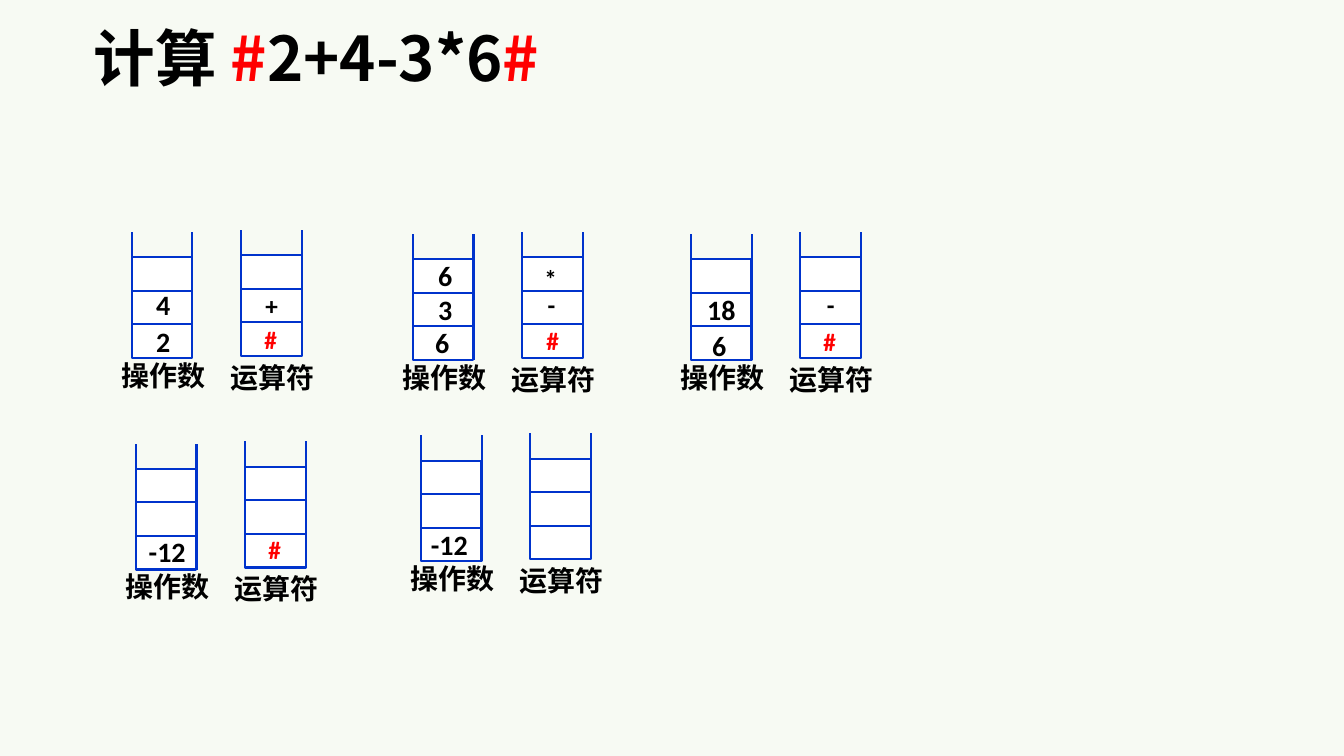
from dataclasses import dataclass

from lxml.etree import SubElement
from pptx import Presentation
from pptx.dml.color import RGBColor
from pptx.enum.shapes import MSO_CONNECTOR as Connector, MSO_SHAPE as Shape
from pptx.enum.text import MSO_ANCHOR as Anchor, MSO_AUTO_SIZE as AutoSize, PP_ALIGN as Align
from pptx.oxml.ns import qn
from pptx.util import Inches, Pt

# Content: title runs as (text, is marker)
TITLE = [("计算 ", False), ("#", True), ("2+4-3*6", False), ("#", True)]
STACK_NAMES = ("操作数", "运算符")

# Each step: left and top of the operand stack, then operands and operators,
# bottom cell first, as (value, shift right, shift down) from the cell centre
STEPS = [
    (1.31, 2.30, [("2", 0.01, 0), ("4", 0.01, -0.03)],
     [("#", -0.01, 0), ("+", 0, 0)]),
    (4.10, 2.32, [("6", -0.01, -0.01), ("3", 0.02, 0), ("6", 0.02, -0.01)],
     [("#", 0, -0.01), ("-", -0.01, -0.03), ("*", -0.02, 0.05)]),
    (6.86, 2.32, [("6", -0.02, 0.02), ("18", 0, 0)],
     [("#", -0.01, 0), ("-", 0, -0.03)]),
    (1.35, 4.40, [("-12", 0.01, -0.01)], [("#", -0.01, -0.01)]),
    (4.18, 4.32, [("-12", -0.02, 0)], []),
]


@dataclass(frozen=True)
class Theme:
    paper: str = "F7FAF3"
    cell: str = "FFFFFF"
    frame: str = "0033CC"
    ink: str = "000000"
    marker: str = "FF0000"
    latin: str = "Calibri"
    chinese: str = "Noto Sans CJK SC"
    title: int = 44
    operand: int = 20
    operator: int = 18
    label: int = 20
    stroke: float = 1.5


THEME = Theme()

# Grid of a stack, in inches
SLIDE_W, SLIDE_H = 13.34, 7.5
CELL_W, CELL_H, CELLS = 0.6, 1 / 3, 3
OPENING = 0.25
STACK_H = OPENING + CELLS * CELL_H
OPERATOR_DX, OPERATOR_DY = 1.085, -0.02
LABEL_W, LABEL_H, LABEL_DX = 1.03, 0.44, 0.01
LABEL_DROPS = (1.2, 1.24)
VALUE_HEIGHTS = (0.44, 0.4)
GLYPH_W = {"-": 0.07, "#": 0.12, "+": 0.12, "*": 0.12}


def color(code):
    return RGBColor.from_string(code)


def add_run(paragraph, text, size, font, is_marker=False):
    run = paragraph.add_run()
    run.text = text
    run.font.size, run.font.bold, run.font.name = Pt(size), True, font
    run.font.color.rgb = color(THEME.marker if is_marker else THEME.ink)
    SubElement(run._r.get_or_add_rPr(), qn("a:ea")).set("typeface", THEME.chinese)


def add_centred_text(group, text, cx, cy, width, height, size):
    box = group.shapes.add_textbox(Inches(cx - width / 2), Inches(cy - height / 2),
                                   Inches(width), Inches(height))
    frame = box.text_frame
    frame.word_wrap, frame.auto_size = False, AutoSize.SHAPE_TO_FIT_TEXT
    frame.margin_left = frame.margin_right = 0
    frame.vertical_anchor = Anchor.MIDDLE
    paragraph = frame.paragraphs[0]
    paragraph.alignment = Align.CENTER
    add_run(paragraph, text, size, THEME.latin, text == "#")


def add_wall(group, x, top):
    wall = group.shapes.add_connector(Connector.STRAIGHT, Inches(x), Inches(top + STACK_H),
                                      Inches(x), Inches(top))
    wall.line.color.rgb, wall.line.width = color(THEME.frame), Pt(THEME.stroke)
    SubElement(wall._element.spPr, qn("a:effectLst"))


def add_cell(group, x, y):
    cell = group.shapes.add_shape(Shape.RECTANGLE, Inches(x), Inches(y),
                                  Inches(CELL_W), Inches(CELL_H))
    cell.shadow.inherit = False
    cell.fill.solid()
    cell.fill.fore_color.rgb = color(THEME.cell)
    cell.line.color.rgb, cell.line.width = color(THEME.frame), Pt(THEME.stroke)


def add_stack(group, left, top, values, name, label_drop, size, value_h):
    cx = left + CELL_W / 2
    cell_tops = [top + STACK_H - (row + 1) * CELL_H for row in range(CELLS)]
    for x in (left, left + CELL_W):
        add_wall(group, x, top)
    for cell_top in cell_tops:
        add_cell(group, left, cell_top)
    add_centred_text(group, name, cx + LABEL_DX, top + label_drop + LABEL_H / 2,
                     LABEL_W, LABEL_H, THEME.label)
    for cell_top, (value, dx, dy) in zip(cell_tops, values):
        width = 0.2 + sum(GLYPH_W.get(glyph, 0.14) for glyph in value)
        add_centred_text(group, value, cx + dx, cell_top + CELL_H / 2 + dy,
                         width, value_h, size)


def add_title(slide):
    box = slide.shapes.add_textbox(Inches(0.83), Inches(0.42), Inches(8.52), Inches(0.57))
    frame = box.text_frame
    frame.word_wrap, frame.vertical_anchor = True, Anchor.BOTTOM
    paragraph = frame.paragraphs[0]
    paragraph.line_spacing = 0.9
    for text, is_marker in TITLE:
        add_run(paragraph, text, THEME.title, THEME.chinese, is_marker)


def main():
    deck = Presentation()
    deck.slide_width, deck.slide_height = Inches(SLIDE_W), Inches(SLIDE_H)
    slide = deck.slides.add_slide(deck.slide_layouts[6])
    slide.background.fill.solid()
    slide.background.fill.fore_color.rgb = color(THEME.paper)
    add_title(slide)

    # One group per step: operand stack, then operator stack
    sizes = (THEME.operand, THEME.operator)
    for left, top, *stacks in STEPS:
        group = slide.shapes.add_group_shape()
        parts = zip(stacks, STACK_NAMES, LABEL_DROPS, sizes, VALUE_HEIGHTS)
        for column, part in enumerate(parts):
            add_stack(group, left + column * OPERATOR_DX, top + column * OPERATOR_DY, *part)

    deck.save("out.pptx")


if __name__ == "__main__":
    main()
